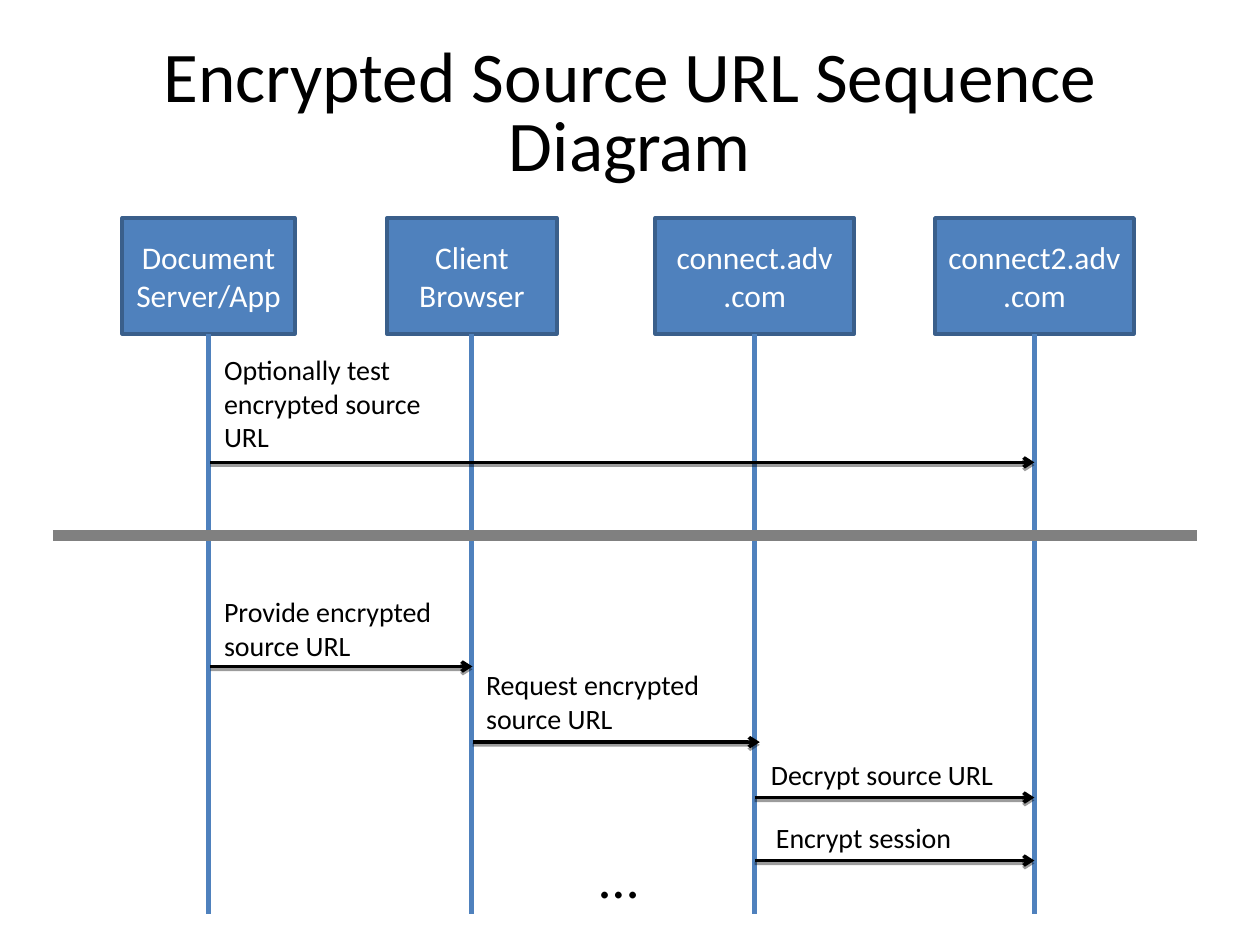
from lxml import etree
from pptx import Presentation
from pptx.dml.color import RGBColor
from pptx.enum import shapes, text
from pptx.oxml import ns
from pptx.util import Inches, Pt

COLORS = {
    "box": "4F81BD",
    "box_line": "3A5F8B",
    "ink": "000000",
    "divider": "808080",
    "white": "FFFFFF",
}
FONT = "Calibri"
BOX_TOP, BOX_HEIGHT, LIFELINE_END = 1.73, 0.92, 7.25

# Participants: left, width, label lines
PARTICIPANTS = [
    (0.97, 1.37, ["Document Server/App"]),
    (3.07, 1.35, ["Client Browser"]),
    (5.2, 1.58, ["connect.adv", ".com"]),
    (7.42, 1.58, ["connect2.adv", ".com"]),
]

# Messages: arrow start x, end x, y, label box, label lines
MESSAGES = [
    (1.67, 8.21, 3.67, (1.68, 2.75, 1.81, 0.9),
     ["Optionally test", "encrypted source", "URL"]),
    (1.67, 3.75, 5.29, (1.68, 4.67, 1.89, 0.63),
     ["Provide encrypted", "source URL"]),
    (3.75, 6.03, 5.89, (3.76, 5.25, 1.94, 0.63),
     ["Request encrypted", "source URL"]),
    (5.99, 8.21, 6.33, (6.02, 5.96, 1.96, 0.37), ["Decrypt source URL"]),
    (5.99, 8.21, 6.83, (6.06, 6.46, 1.59, 0.37), ["Encrypt session"]),
]


def color(name):
    return RGBColor.from_string(COLORS[name])


def write(frame, lines, size, ink="ink", align=text.PP_ALIGN.LEFT,
          anchor=text.MSO_ANCHOR.TOP, wrap=True, spacing=None):
    frame.word_wrap = wrap
    frame.vertical_anchor = anchor
    for index, line in enumerate(lines):
        paragraph = frame.add_paragraph() if index else frame.paragraphs[0]
        paragraph.alignment = align
        if spacing:
            paragraph.line_spacing = spacing
        run = paragraph.add_run()
        run.text = line
        run.font.name = FONT
        run.font.size = Pt(size)
        run.font.color.rgb = color(ink)


def add_line(slide, start, end, ink, width, arrow=False):
    line = slide.shapes.add_connector(
        shapes.MSO_CONNECTOR.STRAIGHT, *map(Inches, start + end))
    line.line.color.rgb = color(ink)
    line.line.width = Pt(width)
    properties = line._element.spPr
    effects = etree.SubElement(properties, ns.qn("a:effectLst"))
    if arrow:
        etree.SubElement(line.line._get_or_add_ln(), ns.qn("a:tailEnd"), type="arrow")
        shadow = etree.SubElement(effects, ns.qn("a:outerShdw"), blurRad="0",
                                  dist=str(Pt(1.6)), dir="5400000", rotWithShape="0")
        shade = etree.SubElement(shadow, ns.qn("a:srgbClr"), val=COLORS["ink"])
        etree.SubElement(shade, ns.qn("a:alpha"), val="38000")
    return line


def add_label(slide, box, lines, size=16):
    label = slide.shapes.add_textbox(*map(Inches, box))
    write(label.text_frame, lines, size, wrap=False)
    label.text_frame.auto_size = text.MSO_AUTO_SIZE.SHAPE_TO_FIT_TEXT


def add_title(slide, box, title_text):
    title = slide.shapes.title
    title.left, title.top, title.width, title.height = map(Inches, box)
    write(title.text_frame, [title_text], 40.7, align=text.PP_ALIGN.CENTER,
          anchor=text.MSO_ANCHOR.MIDDLE, spacing=0.8)


def add_participant(slide, box, lines):
    left, top, width, height = box
    shape = slide.shapes.add_shape(shapes.MSO_SHAPE.RECTANGLE, *map(Inches, box))
    shape.shadow.inherit = False
    shape.fill.solid()
    shape.fill.fore_color.rgb = color("box")
    shape.line.color.rgb = color("box_line")
    shape.line.width = Pt(2)
    write(shape.text_frame, lines, 18, "white", text.PP_ALIGN.CENTER,
          text.MSO_ANCHOR.MIDDLE)
    center = left + width / 2
    lifeline = add_line(slide, (center, top + height), (center, LIFELINE_END), "box", 3)
    lifeline.begin_connect(shape, 2)


def add_message(slide, start, end, y, label_box, lines):
    add_label(slide, label_box, lines)
    add_line(slide, (start, y), (end, y), "ink", 2, arrow=True)


def main():
    presentation = Presentation()
    presentation.slide_width, presentation.slide_height = Inches(10), Inches(7.5)
    slide = presentation.slides.add_slide(presentation.slide_layouts[5])

    add_title(slide, (0.5, 0.3, 9, 1.25), "Encrypted Source URL Sequence Diagram")

    # Participants with their lifelines
    for left, width, lines in PARTICIPANTS:
        add_participant(slide, (left, BOX_TOP, width, BOX_HEIGHT), lines)

    # Messages and continuation mark
    for message in MESSAGES:
        add_message(slide, *message)
    add_label(slide, (4.66, 6.64, 0.5, 0.63), ["…"], size=32)

    # Divider between the optional test and the main sequence
    add_line(slide, (0.42, 4.25), (9.5, 4.25), "divider", 6)

    presentation.save("out.pptx")


if __name__ == "__main__":
    main()
